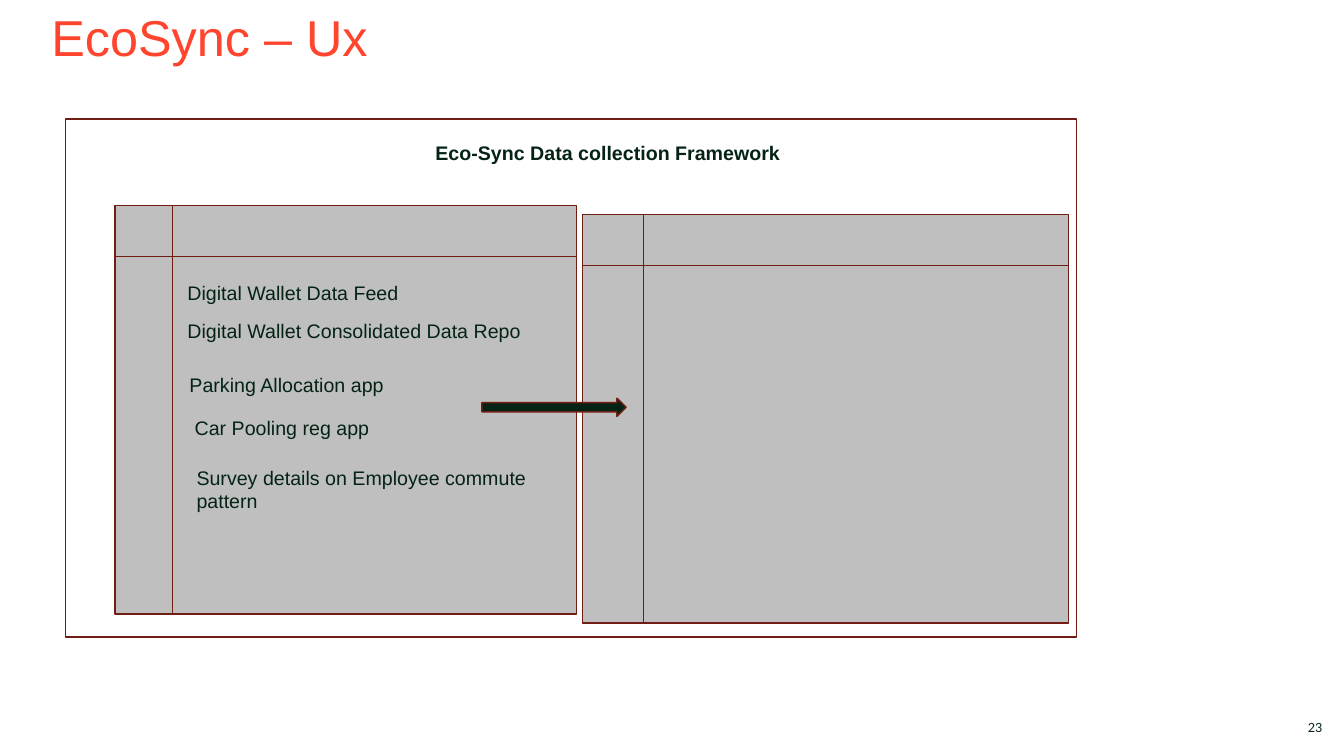
import pptx
import pptx.dml.color
import pptx.enum.shapes
import pptx.enum.text
import pptx.util
from dataclasses import dataclass

Pt = pptx.util.Pt
SHAPE = pptx.enum.shapes.MSO_SHAPE
ALIGN = pptx.enum.text.PP_ALIGN
ANCHOR = pptx.enum.text.MSO_ANCHOR


@dataclass(frozen=True)
class Theme:
    title: str = "FF452D"
    ink: str = "042315"
    border: str = "701E14"
    panel: str = "BFBFBF"
    font: str = "Arial"
    number_font: str = "Lato"
    title_size: int = 36
    body_size: int = 14
    number_size: int = 9
    border_width: int = 1


THEME = Theme()

# Boxes are left, top, width, height in points.
TITLE = ("EcoSync – Ux", (36.7, 5.8, 416, 39.6))
PAGE_NUMBER = ("23", (728.6, 514.8, 216, 10))
HEADING = ("Eco-Sync Data collection Framework", (311, 100.8, 450.7, 17))
FRAME = (46.8, 85, 722.2, 370.1)
SOURCES_PANEL = (82.1, 146.9, 329.8, 291.6)
TARGET_PANEL = (416.2, 153.4, 347, 291.6)
FLOW_ARROW = (344.2, 284.4, 103, 13)
DATA_SOURCES = [
    ("Digital Wallet Data Feed", (133.9, 200.9, 242.6, 17), ALIGN.LEFT),
    ("Digital Wallet Consolidated Data Repo", (133.9, 227.5, 242.6, 17), ALIGN.LEFT),
    ("Parking Allocation app", (127.4, 266.4, 154.8, 17), ALIGN.CENTER),
    ("Car Pooling reg app", (139, 297.4, 154.8, 17), ALIGN.LEFT),
    ("Survey details on Employee commute pattern", (140.4, 332.6, 275.8, 34), ALIGN.LEFT),
]


def rgb(value):
    return pptx.dml.color.RGBColor.from_string(value)


def points(box):
    return [Pt(length) for length in box]


def add_label(slide, text, box, size=THEME.body_size, color=THEME.ink, font=THEME.font,
              bold=False, align=ALIGN.LEFT, anchor=ANCHOR.TOP):
    """Add a wrapped, margin-free line of text."""
    frame = slide.shapes.add_textbox(*points(box)).text_frame
    frame.word_wrap = True
    frame.vertical_anchor = anchor
    frame.margin_left = frame.margin_top = frame.margin_right = frame.margin_bottom = 0
    paragraph = frame.paragraphs[0]
    paragraph.text = text
    paragraph.alignment = align
    run_font = paragraph.runs[0].font
    run_font.name, run_font.size, run_font.bold = font, Pt(size), bold
    run_font.color.rgb = rgb(color)


def add_outlined(slide, kind, box, fill=None):
    shape = slide.shapes.add_shape(kind, *points(box))
    shape.shadow.inherit = False
    if fill:
        shape.fill.solid()
        shape.fill.fore_color.rgb = rgb(fill)
    else:
        shape.fill.background()
    shape.line.color.rgb = rgb(THEME.border)
    shape.line.width = Pt(THEME.border_width)


def main():
    deck = pptx.Presentation()
    deck.slide_width, deck.slide_height = Pt(960), Pt(540)
    slide = deck.slides.add_slide(deck.slide_layouts[6])

    add_label(slide, *TITLE, size=THEME.title_size, color=THEME.title, anchor=ANCHOR.MIDDLE)
    add_label(slide, *PAGE_NUMBER, size=THEME.number_size, font=THEME.number_font,
              align=ALIGN.RIGHT, anchor=ANCHOR.MIDDLE)

    add_outlined(slide, SHAPE.RECTANGLE, FRAME)
    add_label(slide, *HEADING, bold=True)
    for panel in (SOURCES_PANEL, TARGET_PANEL):
        add_outlined(slide, SHAPE.FLOWCHART_INTERNAL_STORAGE, panel, THEME.panel)
    for source, box, align in DATA_SOURCES:
        add_label(slide, source, box, align=align)
    add_outlined(slide, SHAPE.RIGHT_ARROW, FLOW_ARROW, THEME.ink)

    deck.save("out.pptx")


if __name__ == "__main__":
    main()
